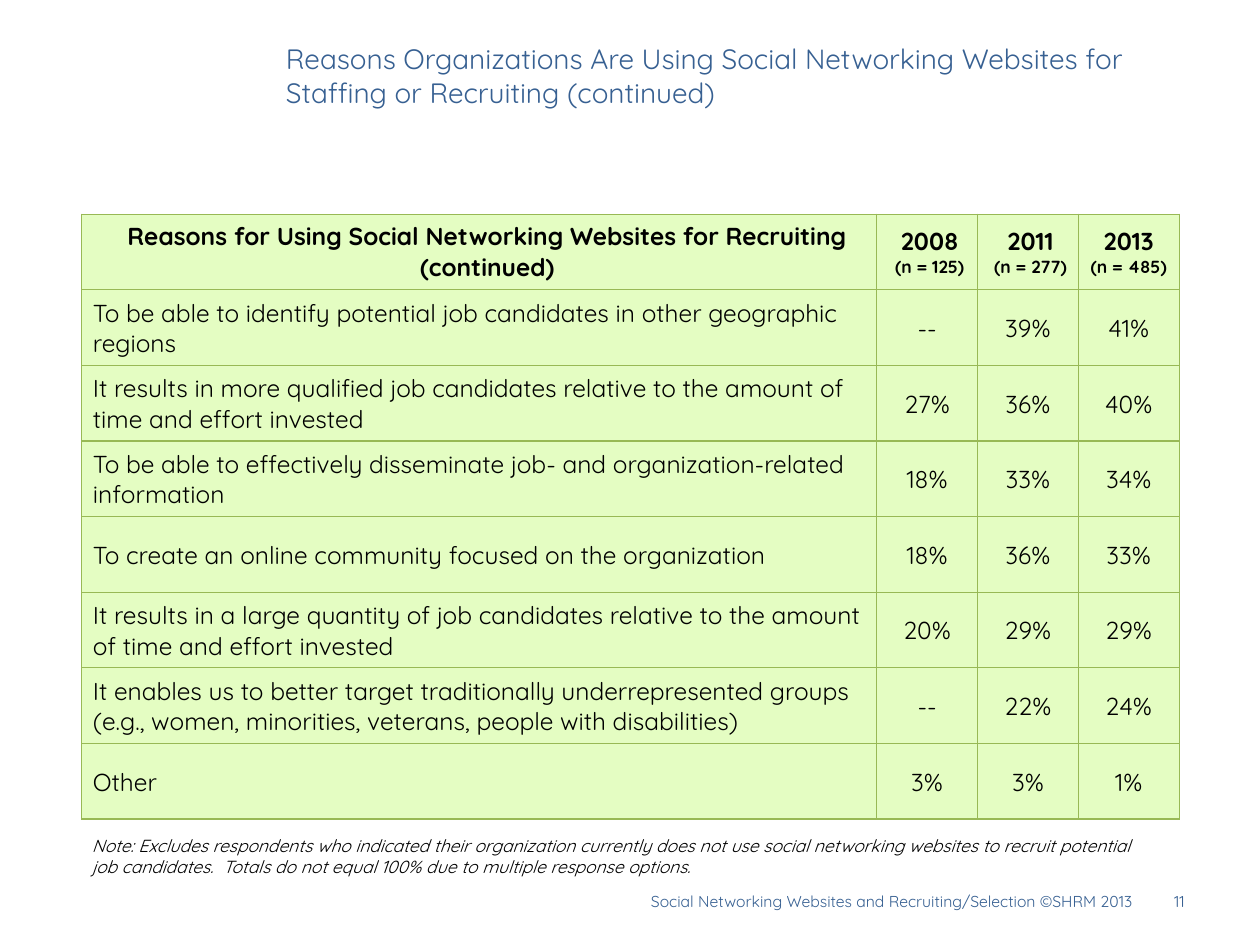
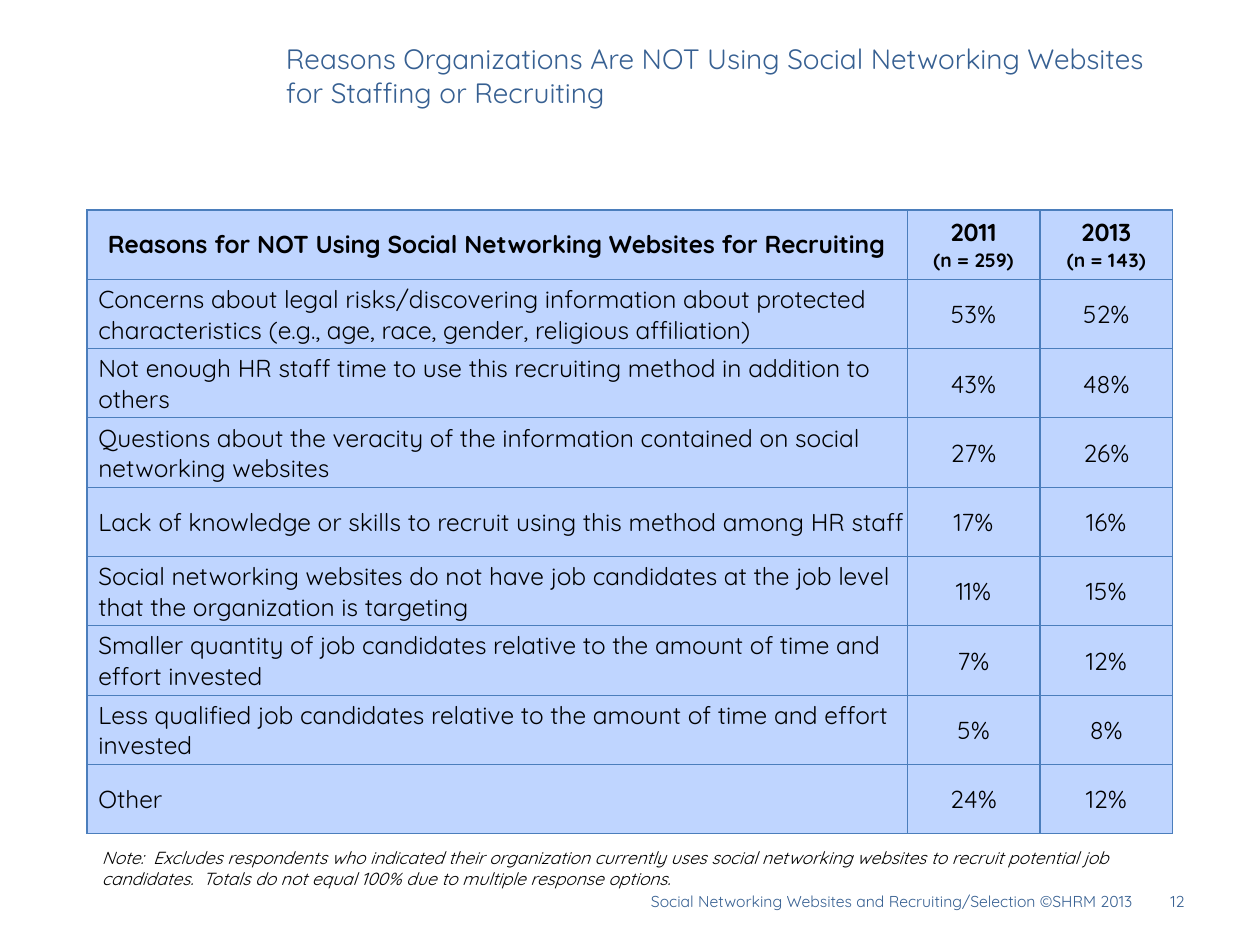
from dataclasses import dataclass

from lxml import etree
from pptx import Presentation
from pptx.dml.color import RGBColor
from pptx.enum.text import MSO_ANCHOR, MSO_AUTO_SIZE, PP_ALIGN
from pptx.oxml.ns import qn
from pptx.util import Pt

FOOTER = "Social Networking Websites and Recruiting/Selection ©SHRM 2013"

SLIDES = [
    {
        "title": "Reasons Organizations Are Using Social Networking Websites for "
                 "Staffing or Recruiting (continued)",
        "number": "11",
        "note": "Note: Excludes respondents who indicated their organization currently "
                "does not use social networking websites to recruit potential job "
                "candidates.  Totals do not equal 100% due to multiple response options.",
        "note_position": (45.4, 473.8),
        "header": ["Reasons for Using Social Networking Websites for Recruiting (continued)",
                   "2008\n(n = 125)", "2011\n(n = 277)", "2013\n(n = 485)"],
        "header_indents": [9.4, 2.9, 2.9, 0],
        "sample_size": 10,
        "rows": [
            ("To be able to identify potential job candidates in other geographic regions",
             "--", "39%", "41%"),
            ("It results in more qualified job candidates relative to the amount of time "
             "and effort invested", "27%", "36%", "40%"),
            ("To be able to effectively disseminate job- and organization-related "
             "information", "18%", "33%", "34%"),
            ("To create an online community focused on the organization",
             "18%", "36%", "33%"),
            ("It results in a large quantity of job candidates relative to the amount of "
             "time and effort invested", "20%", "29%", "29%"),
            ("It enables us to better target traditionally underrepresented groups (e.g., "
             "women, minorities, veterans, people with disabilities)",
             "--", "22%", "24%"),
            ("Other", "3%", "3%", "1%"),
        ],
        "table_position": (46.6, 122.4),
        "reason_width": 454.4,
        "year_width": 57.6,
        "row_height": 43.2,
        "fill": "E4FDC2",
        "border": "98B955",
    },
    {
        "title": "Reasons Organizations Are NOT Using Social Networking Websites for "
                 "Staffing or Recruiting",
        "number": "12",
        "note": "Note:  Excludes respondents who indicated their organization currently "
                "uses social networking websites to recruit potential job candidates.  "
                "Totals do not equal 100% due to multiple response options.",
        "note_position": (51.1, 480.2),
        "header": ["Reasons for NOT Using Social Networking Websites for Recruiting",
                   "2011\n(n = 259)", "2013\n(n = 143)"],
        "header_indents": [0, 0, 0],
        "sample_size": 11,
        "rows": [
            ("Concerns about legal risks/discovering information about protected "
             "characteristics (e.g., age, race, gender, religious affiliation)",
             "53%", "52%"),
            ("Not enough HR staff time to use this recruiting method in addition to others",
             "43%", "48%"),
            ("Questions about the veracity of the information contained on social "
             "networking websites", "27%", "26%"),
            ("Lack of knowledge or skills to recruit using this method among HR staff",
             "17%", "16%"),
            ("Social networking websites do not have job candidates at the job level that "
             "the organization is targeting", "11%", "15%"),
            ("Smaller quantity of job candidates relative to the amount of time and effort "
             "invested", "7%", "12%"),
            ("Less qualified job candidates relative to the amount of time and effort "
             "invested", "5%", "8%"),
            ("Other", "24%", "12%"),
        ],
        "table_position": (49.7, 120),
        "reason_width": 468.7,
        "year_width": 75.9,
        "row_height": 39.6,
        "fill": "BFD5FF",
        "border": "4B7EBC",
    },
]


@dataclass(frozen=True)
class Theme:
    font: str = "Quicksand"
    accent: str = "376092"
    ink: str = "000000"
    title_size: int = 16
    table_size: int = 14
    note_size: int = 10
    footer_size: int = 9
    border_width: float = 0.75


THEME = Theme()


def format_paragraph(paragraph, size, color, alignment=PP_ALIGN.LEFT, bold=False, italic=False):
    paragraph.alignment = alignment
    for run in paragraph.runs:
        font = run.font
        font.name, font.size = THEME.font, Pt(size)
        font.bold, font.italic = bold, italic
        font.color.rgb = RGBColor.from_string(color)


def add_text(slide, text, box, size, color, anchor=MSO_ANCHOR.MIDDLE, **style):
    frame = slide.shapes.add_textbox(*map(Pt, box)).text_frame
    frame.word_wrap = True
    frame.vertical_anchor = anchor
    frame.text = text
    format_paragraph(frame.paragraphs[0], size, color, **style)


def set_title(slide, text):
    title = slide.shapes.title
    title.left, title.top, title.width, title.height = map(Pt, (156.2, 14.4, 527.8, 57.6))
    frame = title.text_frame
    frame.text = text
    frame.auto_size = MSO_AUTO_SIZE.NONE
    frame.vertical_anchor = MSO_ANCHOR.MIDDLE
    format_paragraph(frame.paragraphs[0], THEME.title_size, THEME.accent)


def set_borders(cell, color):
    properties = cell._tc.get_or_add_tcPr()
    for position, side in enumerate(("lnL", "lnR", "lnT", "lnB")):
        line = etree.Element(qn(f"a:{side}"), w=str(Pt(THEME.border_width)))
        fill = etree.SubElement(line, qn("a:solidFill"))
        etree.SubElement(fill, qn("a:srgbClr"), val=color)
        properties.insert(position, line)


def format_cell(cell, text, content, row, column):
    is_header, is_reason = row == 0, column == 0
    cell.text = text
    cell.vertical_anchor = MSO_ANCHOR.MIDDLE
    if is_header:
        margins = (content["header_indents"][column], 0, 0, 0)
    else:
        margins = (6.5 if is_reason else 0.7, 0.7, 0.7, 0)
    cell.margin_left, cell.margin_top, cell.margin_right, cell.margin_bottom = map(Pt, margins)
    cell.fill.solid()
    cell.fill.fore_color.rgb = RGBColor.from_string(content["fill"])
    set_borders(cell, content["border"])
    alignment = PP_ALIGN.LEFT if is_reason and not is_header else PP_ALIGN.CENTER
    sizes = (THEME.table_size, content["sample_size"])
    for paragraph, size in zip(cell.text_frame.paragraphs, sizes):
        format_paragraph(paragraph, size, THEME.ink, alignment, bold=is_header)


def add_reasons_table(slide, content):
    rows = [content["header"], *content["rows"]]
    widths = [content["reason_width"]] + [content["year_width"]] * (len(rows[0]) - 1)
    size = (sum(widths), content["row_height"] * len(rows))
    table = slide.shapes.add_table(
        len(rows), len(widths), *map(Pt, (*content["table_position"], *size))).table
    table.first_row = table.horz_banding = False
    for column, width in zip(table.columns, widths):
        column.width = Pt(width)
    for row, values in enumerate(rows):
        table.rows[row].height = Pt(content["row_height"])
        for column, text in enumerate(values):
            format_cell(table.cell(row, column), text, content, row, column)


def add_footer(slide, number):
    for text, left, width in ((FOOTER, 33.1, 620.7), (number, 653.8, 30.2)):
        add_text(slide, text, (left, 500.4, width, 28.8), THEME.footer_size, THEME.accent,
                 alignment=PP_ALIGN.RIGHT)


def main():
    presentation = Presentation()
    presentation.slide_width, presentation.slide_height = Pt(720), Pt(540)
    title_only = presentation.slide_layouts[5]
    for content in SLIDES:
        slide = presentation.slides.add_slide(title_only)
        set_title(slide, content["title"])
        add_footer(slide, content["number"])
        add_text(slide, content["note"], (*content["note_position"], 620.6, 18),
                 THEME.note_size, THEME.ink, MSO_ANCHOR.TOP, italic=True)
        add_reasons_table(slide, content)
    presentation.save("out.pptx")


if __name__ == "__main__":
    main()
